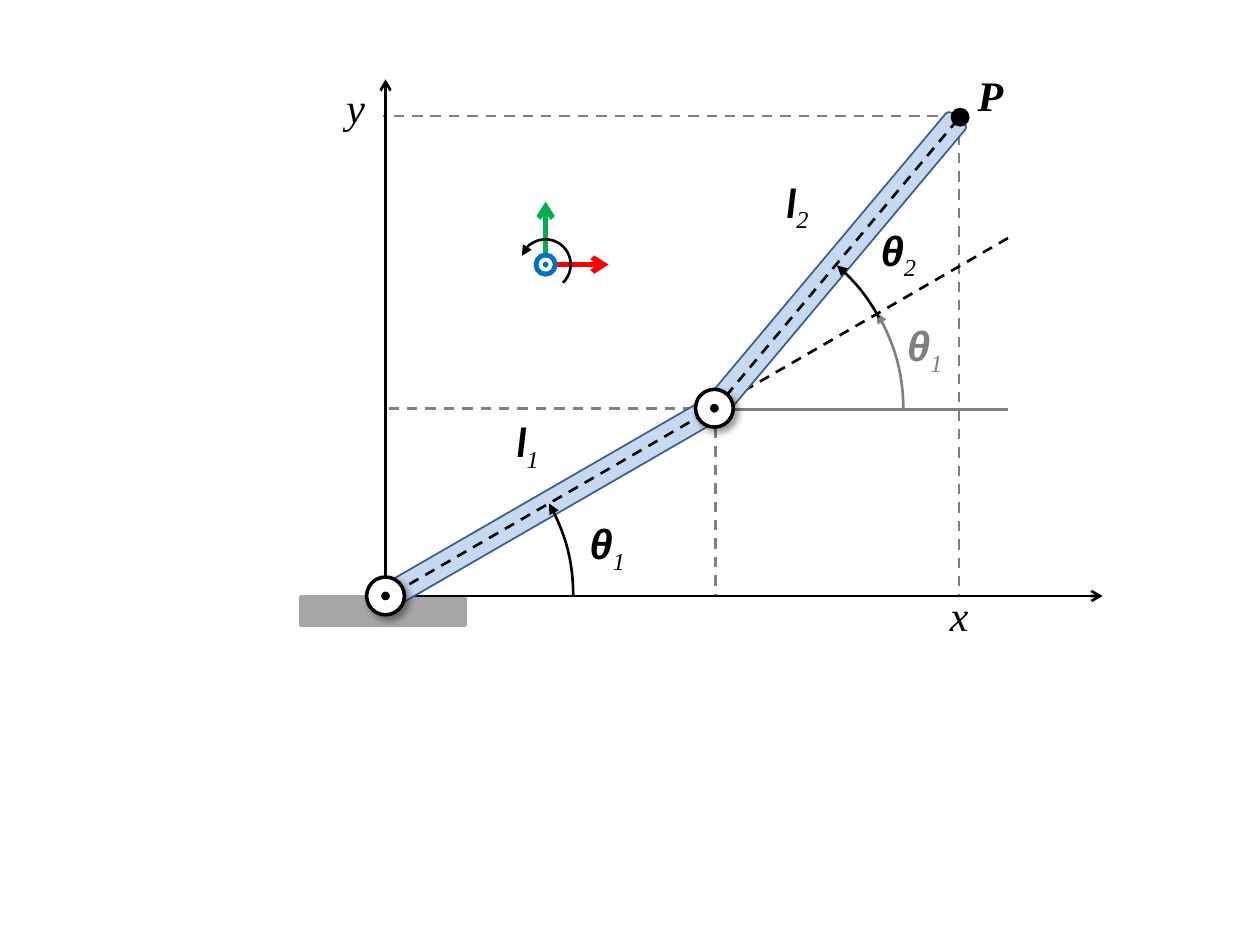
from dataclasses import dataclass

from lxml import etree
from pptx import Presentation
from pptx.dml.color import RGBColor
from pptx.enum.dml import MSO_LINE
from pptx.enum.shapes import MSO_CONNECTOR, MSO_SHAPE
from pptx.enum.text import MSO_AUTO_SIZE
from pptx.oxml.ns import qn
from pptx.util import Inches, Pt

STRAIGHT = MSO_CONNECTOR.STRAIGHT
DASH = MSO_LINE.DASH
RECT, ROUND_RECT = MSO_SHAPE.RECTANGLE, MSO_SHAPE.ROUNDED_RECTANGLE
OVAL, ARC = MSO_SHAPE.OVAL, MSO_SHAPE.ARC
FIT = MSO_AUTO_SIZE.SHAPE_TO_FIT_TEXT

BLACK, WHITE, GRAY, BASE_GRAY = "000000", "FFFFFF", "808080", "A6A6A6"
RED, GREEN, BLUE = "FF0000", "00B050", "0070C0"
LINK_FILL, LINK_EDGE = "C6D9F1", "3A5F8C"
SERIF = "Times New Roman"


@dataclass
class Line:
    x1: float
    y1: float
    x2: float
    y2: float
    color: str = GRAY
    dashed: bool = True
    width: float = 1.5
    head: str = ""
    tail: str = ""


@dataclass
class Arc:
    """Arc of a circle, with clockwise angles in degrees and its arrow at start."""
    cx: float
    cy: float
    radius: float
    start: float
    end: float
    color: str = BLACK


@dataclass
class Label:
    x: float
    y: float
    w: float
    text: str
    sub: str = ""
    font: str = SERIF
    color: str = BLACK
    bold: bool = True
    wrap: bool = False


def rgb(color: str) -> RGBColor:
    return RGBColor.from_string(color)


def style_line(line, color: str, width: float) -> None:
    line.color.rgb = rgb(color)
    line.width = Pt(width)


def add_arrow(shape, end: str, kind: str) -> None:
    ln = shape.line._get_or_add_ln()
    etree.SubElement(ln, qn(f"a:{end}"), type=kind)


def add_line(shapes, line: Line) -> None:
    c = shapes.add_connector(STRAIGHT, Inches(line.x1), Inches(line.y1),
                             Inches(line.x2), Inches(line.y2))
    style_line(c.line, line.color, line.width)
    if line.dashed:
        c.line.dash_style = DASH
    if line.head:
        add_arrow(c, "headEnd", line.head)
    if line.tail:
        add_arrow(c, "tailEnd", line.tail)
    etree.SubElement(c._element.spPr, qn("a:effectLst"))


def add_box(shapes, kind, cx: float, cy: float, w: float, h: float,
            fill: str = "", edge: str = "", width: float = 1):
    """Add a preset shape centred on (cx, cy)."""
    sp = shapes.add_shape(kind, Inches(cx - w / 2), Inches(cy - h / 2),
                          Inches(w), Inches(h))
    sp.shadow.inherit = False
    if fill:
        sp.fill.solid()
        sp.fill.fore_color.rgb = rgb(fill)
    else:
        sp.fill.background()
    if edge:
        style_line(sp.line, edge, width)
    else:
        sp.line.fill.background()
    return sp


def add_arc(shapes, arc: Arc) -> None:
    size = 2 * arc.radius
    sp = add_box(shapes, ARC, arc.cx, arc.cy, size, size, edge=arc.color, width=1.5)
    # Angles are stored in 1/60000 degree; adjustments are scaled by 100000.
    for i, angle in enumerate((arc.start, arc.end)):
        sp.adjustments[i] = angle * 0.6
    add_arrow(sp, "headEnd", "triangle")


def add_link(shapes, cx: float, cy: float, angle: float) -> None:
    sp = add_box(shapes, ROUND_RECT, cx, cy, 0.2, 3, LINK_FILL, LINK_EDGE)
    sp.rotation = angle


def add_joint(shapes, cx: float, cy: float) -> None:
    group = shapes.add_group_shape().shapes
    disc = add_box(group, OVAL, cx, cy, 0.3, 0.3, WHITE, BLACK, 2)
    effects = disc._element.spPr.find(qn("a:effectLst"))
    shadow = etree.SubElement(effects, qn("a:outerShdw"), blurRad=str(Pt(4)),
                              dist=str(Pt(3)), dir=str(45 * 60000), algn="tl")
    color = etree.SubElement(shadow, qn("a:srgbClr"), val=BLACK)
    etree.SubElement(color, qn("a:alpha"), val="40000")
    add_box(group, OVAL, cx, cy, 0.1, 0.1, BLACK, WHITE, 2)


def add_frame(shapes, cx: float, cy: float) -> None:
    """Add the small coordinate frame with its direction of rotation."""
    group = shapes.add_group_shape().shapes
    for dx, dy, color in ((0.5, 0, RED), (0, -0.5, GREEN)):
        add_line(group, Line(cx, cy, cx + dx, cy + dy, color, False, 3, tail="arrow"))
    add_box(group, OVAL, cx, cy, 0.15, 0.15, WHITE, BLUE, 3)
    add_box(group, OVAL, cx, cy, 0.08, 0.08, BLUE, WHITE, 2.25)
    add_arc(group, Arc(cx, cy, 0.2, 200.1, 46.18))


def add_label(shapes, label: Label) -> None:
    tb = shapes.add_textbox(Inches(label.x), Inches(label.y),
                            Inches(label.w), Inches(0.5))
    tf = tb.text_frame
    tf.word_wrap = label.wrap
    tf.auto_size = FIT
    p = tf.paragraphs[0]
    p.font.size = Pt(24)
    p.font.italic = True
    p.font.color.rgb = rgb(label.color)
    r = p.add_run()
    r.text = label.text
    r.font.name = label.font
    r.font.bold = label.bold
    if label.sub:
        r = p.add_run()
        r.text = label.sub
        r.font.name = SERIF
        r._r.get_or_add_rPr().set("baseline", "-25000")


def theta(x: float, y: float, sub: str, color: str = BLACK) -> Label:
    return Label(x, y, 0.63, "θ", sub, "Arial", color, wrap=True)


def main() -> None:
    prs = Presentation()
    prs.slide_width, prs.slide_height = Inches(10), Inches(7.5)
    s = prs.slides.add_slide(prs.slide_layouts[6])
    shapes = s.shapes

    add_line(shapes, Line(7.61, 0.92, 7.61, 4.72))
    add_line(shapes, Line(7.59, 0.92, 3.04, 0.92))
    add_box(shapes, RECT, 3.04, 4.85, 1.3, 0.22, BASE_GRAY, BASE_GRAY, 2)
    for line in (
        Line(3.06, 0.63, 3.06, 4.73, BLACK, False, head="arrow"),
        Line(5.65, 3.24, 3.05, 3.24),
        Line(5.68, 3.25, 5.68, 4.74),
        Line(8.75, 4.73, 3.05, 4.73, BLACK, False, head="arrow"),
        Line(8, 3.25, 5.7, 3.25, dashed=False),
    ):
        add_line(shapes, line)

    # First link
    add_link(shapes, 4.37, 3.99, 60)
    add_line(shapes, Line(8, 1.89, 3.07, 4.74, BLACK))
    add_joint(shapes, 3.06, 4.73)
    add_arc(shapes, Arc(3.05, 4.73, 1.5, 330.74, 0))
    add_label(shapes, theta(4.58, 4.06, "1"))
    add_label(shapes, Label(4, 3.25, 0.46, "l", "1", "Calibri", wrap=True))

    # Second link
    add_link(shapes, 6.64, 2.09, 40)
    add_arc(shapes, Arc(5.67, 3.25, 1.5, 329.29, 0, GRAY))
    add_label(shapes, theta(7.1, 2.49, "1", GRAY))
    add_label(shapes, Label(6.14, 1.35, 0.46, "l", "2", "Calibri"))
    add_arc(shapes, Arc(5.66, 3.24, 1.5, 310.91, 331.31))
    add_label(shapes, theta(6.89, 1.73, "2"))
    add_line(shapes, Line(7.6, 0.95, 5.68, 3.24, BLACK))
    add_joint(shapes, 5.67, 3.24)

    # End point, frame and axis names
    add_box(shapes, OVAL, 7.62, 0.93, 0.15, 0.15, BLACK)
    add_frame(shapes, 4.33, 2.1)
    add_label(shapes, Label(7.66, 0.5, 0.41, "P"))
    add_label(shapes, Label(7.44, 4.63, 0.35, "x", bold=False))
    add_label(shapes, Label(2.65, 0.6, 0.35, "y", bold=False))

    prs.save("out.pptx")


if __name__ == "__main__":
    main()
